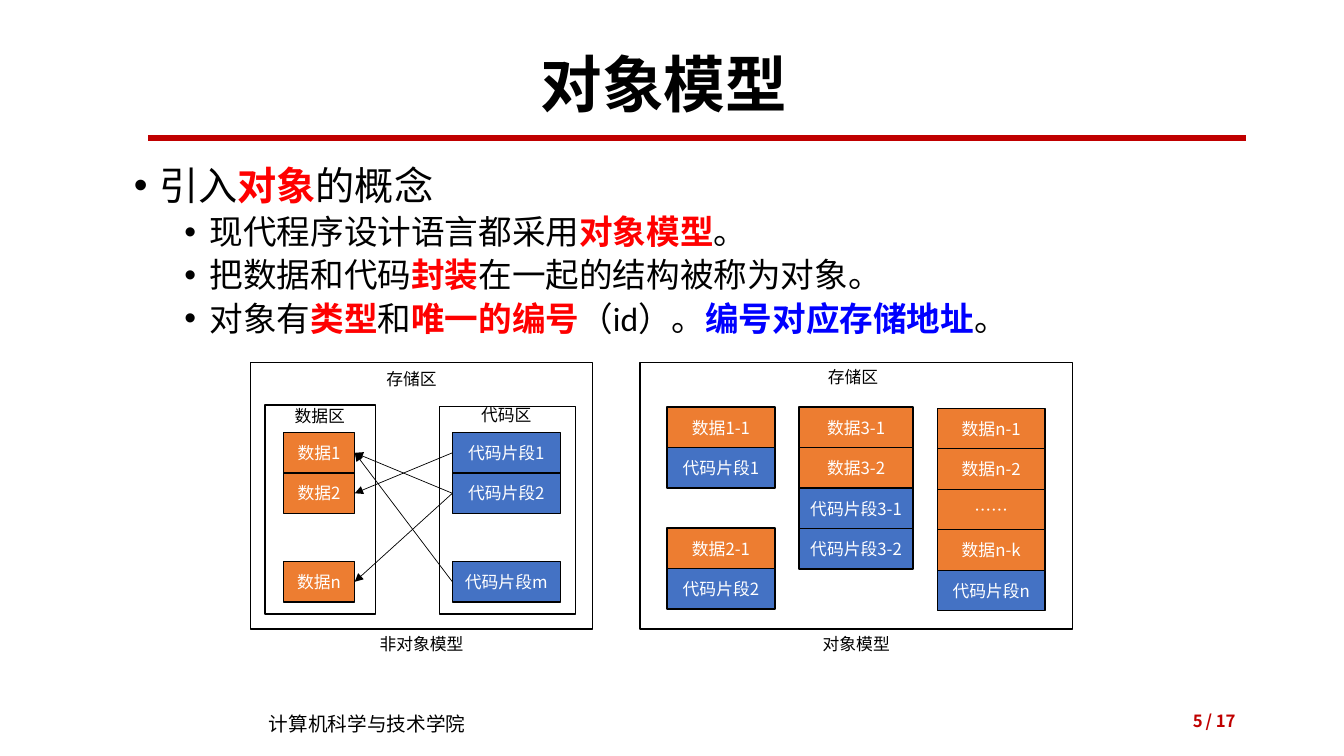
from lxml.etree import SubElement as Sub
from pptx import Presentation
from pptx.dml.color import RGBColor as RGB
from pptx.enum.shapes import MSO_CONNECTOR as Link, MSO_SHAPE as Shape
from pptx.enum.text import MSO_ANCHOR as Anchor, MSO_AUTO_SIZE as Fit, PP_ALIGN as Align
from pptx.oxml.ns import qn
from pptx.util import Cm, Pt

BLACK = RGB(0, 0, 0)
WHITE = RGB(255, 255, 255)
RED = RGB(255, 0, 0)
BLUE = RGB(0, 0, 255)
DARK = RGB(0xC0, 0, 0)
DATA = RGB(0xED, 0x7D, 0x31)
CODE = RGB(0x44, 0x72, 0xC4)
SANS = "Noto Sans CJK SC"
LATIN = "Calibri"
ROW = 1.02  # height of a memory cell in cm

# Each line is a list of (words, accent colour)
LINES = [
    [("引入", None), ("对象", RED), ("的概念", None)],
    [("现代程序设计语言都采用", None), ("对象模型", RED), ("。", None)],
    [("把数据和代码", None), ("封装", RED), ("在一起的结构被称为对象。", None)],
    [("对象有", None), ("类型", RED), ("和", None), ("唯一的编号", RED),
     ("（id）。", None), ("编号对应存储地址", BLUE), ("。", None)],
]


def style(para, size, color=BLACK, bold=False, name=SANS):
    font = para.font
    font.name, font.size, font.bold = name, Pt(size), bold
    font.color.rgb = color
    Sub(para._p.pPr.find(qn("a:defRPr")), qn("a:ea"), typeface=SANS)


def place(shape, x, y, w, h):
    shape.left, shape.top, shape.width, shape.height = Cm(x), Cm(y), Cm(w), Cm(h)


def add_title(slide, text):
    title = slide.shapes.title
    place(title, 2.08, 1.02, 29.31, 2.39)
    frame = title.text_frame
    frame.text = text
    frame.auto_size = Fit.NONE
    frame.vertical_anchor = Anchor.MIDDLE
    para = frame.paragraphs[0]
    para.alignment, para.line_spacing = Align.CENTER, 0.9
    style(para, 44, bold=True, name=LATIN)


def add_list(slide, lines):
    body = slide.placeholders[1]
    place(body, 3.12, 4.06, 28.27, 13.08)
    frame = body.text_frame
    frame.auto_size = Fit.NONE
    for i, line in enumerate(lines):
        para = frame.add_paragraph() if i else frame.paragraphs[0]
        para.level = 1 if i else 0
        para.alignment, para.line_spacing = Align.JUSTIFY, 0.9
        para.space_before = Pt(5 if i else 0)
        props = para._p.get_or_add_pPr()
        props.set("marL", str(Cm(1.91 if i else 0.64)))
        props.set("indent", str(-Cm(0.64)))
        Sub(props, qn("a:buFont"), typeface="Arial")
        Sub(props, qn("a:buChar"), char="•")
        style(para, 24 if i else 28, name=LATIN)
        for words, accent in line:
            run = para.add_run()
            run.text = words
            if accent is not None:
                run.font.bold = True
                run.font.color.rgb = accent


def add_label(slide, text, x, y, w, h=0.76, align=Align.CENTER,
              wrap=True, anchor=Anchor.TOP, **look):
    box = slide.shapes.add_textbox(Cm(x), Cm(y), Cm(w), Cm(h))
    frame = box.text_frame
    frame.word_wrap = wrap
    frame.vertical_anchor = anchor
    frame.text = text
    para = frame.paragraphs[0]
    para.alignment = align
    style(para, **{"size": 12, **look})


def add_box(slide, x, y, w, h, fill=WHITE, text=""):
    box = slide.shapes.add_shape(Shape.RECTANGLE, Cm(x), Cm(y), Cm(w), Cm(h))
    box.shadow.inherit = False
    box.fill.solid()
    box.fill.fore_color.rgb = fill
    box.line.color.rgb = BLACK
    box.line.width = Pt(1)
    if text:
        frame = box.text_frame
        frame.text = text
        frame.vertical_anchor = Anchor.MIDDLE
        para = frame.paragraphs[0]
        para.alignment = Align.CENTER
        style(para, 12, WHITE)
    return box


def add_stack(slide, x, y, w, data, code):
    cells = [(text, DATA) for text in data] + [(text, CODE) for text in code]
    return [add_box(slide, x, y + i * ROW, w, ROW, fill, text)
            for i, (text, fill) in enumerate(cells)]


def add_line(slide, start, end, color, width):
    line = slide.shapes.add_connector(
        Link.STRAIGHT, *(Cm(v) for v in (*start, *end)))
    line.line.color.rgb = color
    line.line.width = Pt(width)
    Sub(line._element.spPr, qn("a:effectLst"))
    return line


def add_arrow(slide, code, data):
    line = add_line(slide, (0, 0), (1, 1), BLACK, 0.5)
    line.begin_connect(code, 1)
    line.end_connect(data, 3)
    Sub(line.line._get_or_add_ln(), qn("a:tailEnd"), type="triangle")


def add_split(slide):
    # Data and code kept in separate areas
    add_box(slide, 6.32, 9.14, 8.61, 6.71)
    add_box(slide, 11.07, 10.24, 3.43, 5.23)
    add_box(slide, 6.68, 10.21, 2.79, 5.26)
    data = add_stack(slide, 7.14, 10.9, 1.8, ["数据1", "数据2"], [])
    data += add_stack(slide, 7.14, 14.15, 1.8, ["数据n"], [])
    code = add_stack(slide, 11.4, 10.9, 2.72, [], ["代码片段1", "代码片段2"])
    code += add_stack(slide, 11.4, 14.15, 2.72, [], ["代码片段m"])
    for text, x, y in [("存储区", 9.47, 9.17), ("数据区", 7.16, 10.11),
                       ("代码区", 11.86, 10.08)]:
        add_label(slide, text, x, y, 1.8, wrap=False)
    for src, dst in [(0, 1), (1, 0), (2, 0), (1, 2)]:
        add_arrow(slide, code[src], data[dst])
    add_label(slide, "非对象模型", 6.32, 15.85, 8.61)


def add_model(slide):
    # Data and code joined into objects
    add_box(slide, 16.13, 9.14, 10.9, 6.71)
    add_label(slide, "存储区", 20.6, 9.12, 1.8, wrap=False)
    add_stack(slide, 16.81, 10.26, 2.72, ["数据1-1"], ["代码片段1"])
    add_stack(slide, 16.81, 13.31, 2.72, ["数据2-1"], ["代码片段2"])
    add_stack(slide, 20.14, 10.26, 2.87, ["数据3-1", "数据3-2"],
              ["代码片段3-1", "代码片段3-2"])
    add_stack(slide, 23.62, 10.29, 2.72,
              ["数据n-1", "数据n-2", "……", "数据n-k"], ["代码片段n"])
    add_label(slide, "对象模型", 16.13, 15.85, 10.9)


def add_footer(slide):
    add_label(slide, "计算机科学与技术学院", 6.53, 17.81, 7.42, 0.86,
              Align.LEFT, size=14)
    for text, x, w in [("5", 23.93, 6.63), ("/ 17", 29.49, 1.9)]:
        add_label(slide, text, x, 17.65, w, 1.02, Align.RIGHT,
                  anchor=Anchor.MIDDLE, color=DARK, bold=True)


def main():
    deck = Presentation()
    deck.slide_width, deck.slide_height = Cm(33.87), Cm(19.05)
    slide = deck.slides.add_slide(deck.slide_layouts[1])
    add_title(slide, "对象模型")
    add_line(slide, (3.73, 3.48), (31.39, 3.48), DARK, 4.5)
    add_list(slide, LINES)
    add_split(slide)
    add_model(slide)
    add_footer(slide)
    deck.save("out.pptx")


if __name__ == "__main__":
    main()
